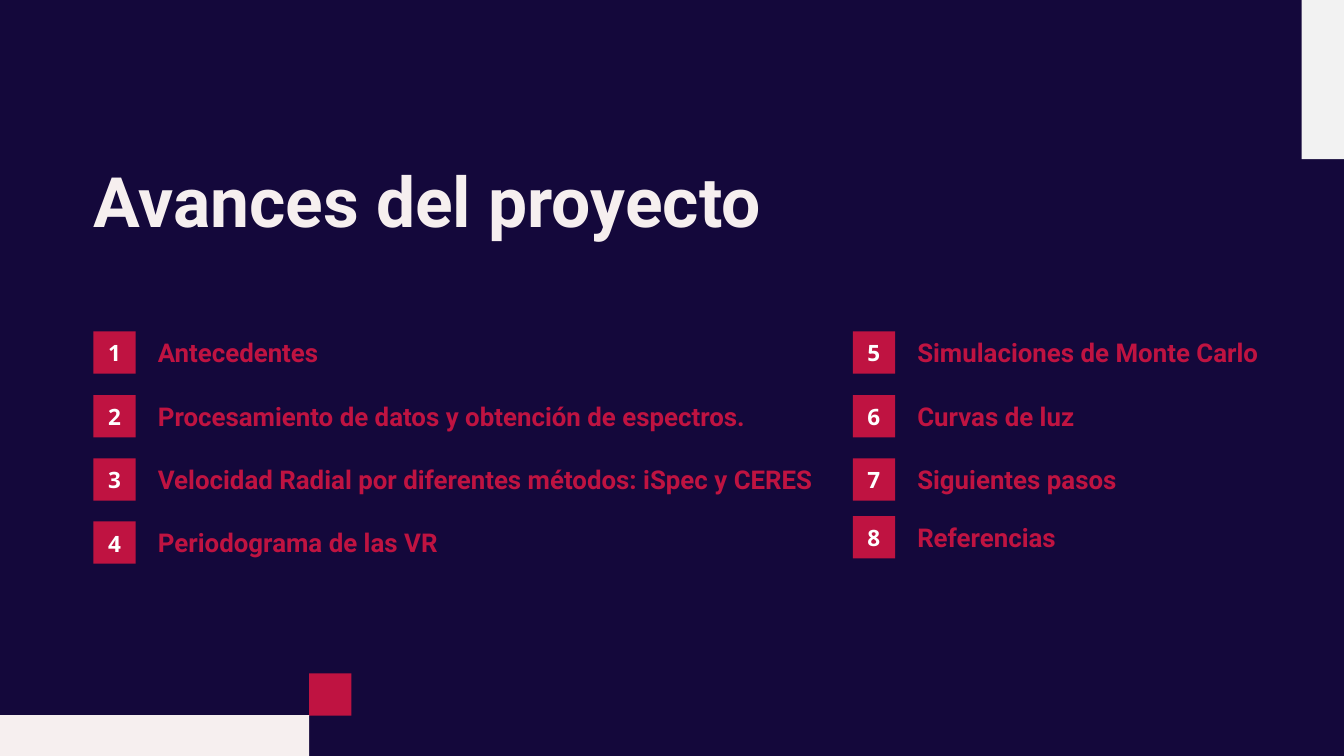
from dataclasses import dataclass

from pptx import Presentation
from pptx.dml.color import RGBColor
from pptx.enum.shapes import MSO_SHAPE
from pptx.enum.text import MSO_ANCHOR, PP_ALIGN
from pptx.util import Emu, Pt

RECT = MSO_SHAPE.RECTANGLE
LEFT, CENTER = PP_ALIGN.LEFT, PP_ALIGN.CENTER
TOP, MIDDLE = MSO_ANCHOR.TOP, MSO_ANCHOR.MIDDLE
SCALE = 9144
SIDE = 63


@dataclass(frozen=True)
class Style:
    font: str
    size: float
    lead: float
    color: str


@dataclass(frozen=True)
class Theme:
    back: str = "14083B"
    red: str = "BF1341"
    cream: str = "F6EFEF"
    gray: str = "F2F2F2"
    title: Style = Style("Roboto", 74.5, 79, "F6EFEF")
    label: Style = Style("Roboto", 27.7, 34.4, "BF1341")
    number: Style = Style("Open Sans", 24.1, 29.9, "FFFFFF")


THEME = Theme()
COLUMNS = [
    (139, 1000, [
        ("1", "Antecedentes", 493),
        ("2", "Procesamiento de datos y obtención de espectros.", 588),
        ("3", "Velocidad Radial por diferentes métodos: iSpec y CERES", 682),
        ("4", "Periodograma de las VR", 776),
    ]),
    (1269, 523, [
        ("5", "Simulaciones de Monte Carlo", 493),
        ("6", "Curvas de luz", 588),
        ("7", "Siguientes pasos", 682),
        ("8", "Referencias", 768),
    ]),
]


def px(value):
    """Turn whole px into EMU."""
    return Emu(value * SCALE)


def write(shape, text, style, align=LEFT, anchor=TOP, inset=0):
    """Set one line of bold text in a shape."""
    frame = shape.text_frame
    frame.word_wrap = True
    frame.vertical_anchor = anchor
    frame.margin_left = frame.margin_right = px(inset)
    frame.margin_top = frame.margin_bottom = px(inset)
    para = frame.paragraphs[0]
    para.alignment = align
    para.line_spacing = Pt(style.lead)
    run = para.add_run()
    run.text = text
    run.font.name = style.font
    run.font.size = Pt(style.size)
    run.font.bold = True
    run.font.color.rgb = RGBColor.from_string(style.color)


def add_block(slide, left, top, width, height, color):
    """Draw a flat rectangle."""
    block = slide.shapes.add_shape(RECT, px(left), px(top), px(width), px(height))
    block.shadow.inherit = False
    block.fill.solid()
    block.fill.fore_color.rgb = RGBColor.from_string(color)
    block.line.fill.background()
    return block


def add_text(slide, left, top, width, height, text, style):
    """Place a text box without insets."""
    box = slide.shapes.add_textbox(px(left), px(top), px(width), px(height))
    write(box, text, style)


def add_item(slide, left, top, width, number, label):
    """Place a numbered square with its label."""
    square = add_block(slide, left, top, SIDE, SIDE, THEME.red)
    write(square, number, THEME.number, CENTER, MIDDLE, 6)
    add_text(slide, left + 96, top + 6, width, 48, label, THEME.label)


def main():
    """Build the agenda slide."""
    deck = Presentation()
    deck.slide_width, deck.slide_height = px(2000), px(1125)
    slide = deck.slides.add_slide(deck.slide_layouts[6])
    slide.background.fill.solid()
    slide.background.fill.fore_color.rgb = RGBColor.from_string(THEME.back)
    add_block(slide, 460, 1002, SIDE, SIDE, THEME.red)
    add_block(slide, 1937, 0, SIDE, 237, THEME.gray)
    add_block(slide, 0, 1064, 460, 61, THEME.cream)
    add_text(slide, 139, 249, 1369, 112, "Avances del proyecto", THEME.title)
    for left, width, items in COLUMNS:
        for number, label, top in items:
            add_item(slide, left, top, width, number, label)
    deck.save("out.pptx")


if __name__ == "__main__":
    main()
